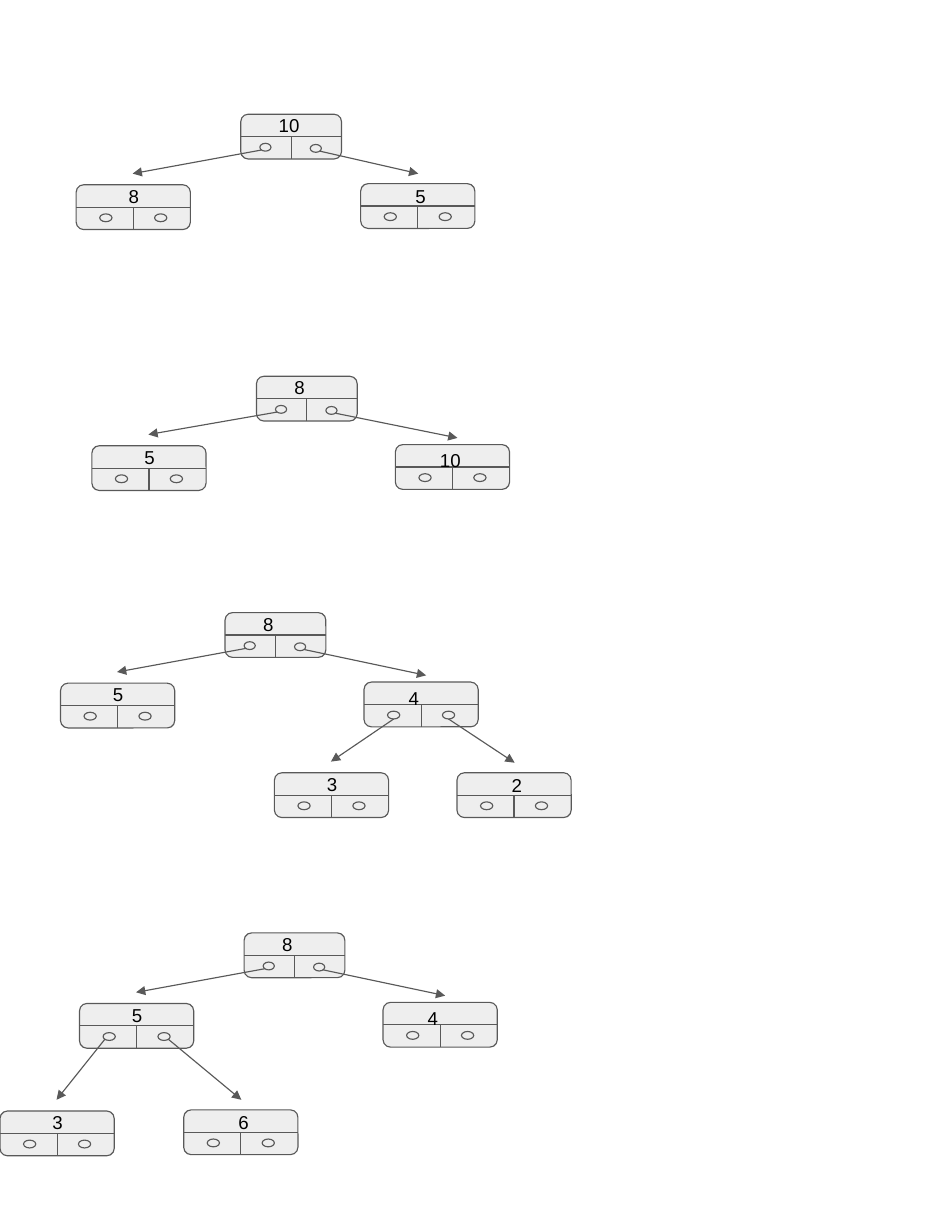
from dataclasses import dataclass
from typing import Optional

from lxml import etree
from pptx import Presentation
from pptx.dml.color import RGBColor
from pptx.enum.shapes import MSO_CONNECTOR, MSO_SHAPE
from pptx.oxml.ns import qn
from pptx.shapes.autoshape import Shape
from pptx.shapes.connector import Connector
from pptx.shapes.shapetree import GroupShapes
from pptx.slide import Slide
from pptx.util import Pt

STRAIGHT = MSO_CONNECTOR.STRAIGHT
ROUNDED, OVAL = MSO_SHAPE.ROUNDED_RECTANGLE, MSO_SHAPE.OVAL
TOP, LEFT, BOTTOM, RIGHT = range(4)

EMU_PER_PX = 9144  # 100 px to the inch
SLIDE_WIDTH, SLIDE_HEIGHT = 850, 1100
BOX_HEIGHT, DIVIDER_Y, PORT_HEIGHT, INSET = 40, 20, 7, 10
DIAGONAL = 0.35  # offset of an ellipse's corner point, as a share of its size


@dataclass(frozen=True)
class Theme:
    fill: RGBColor = RGBColor(0xEE, 0xEE, 0xEE)
    line: RGBColor = RGBColor(0x59, 0x59, 0x59)
    text: RGBColor = RGBColor(0, 0, 0)
    font: str = "Arial"
    text_size: Pt = Pt(12)
    line_width: Pt = Pt(0.75)


@dataclass(frozen=True)
class NodeStyle:
    """Sizes and offsets from the top left corner of a node's box."""
    width: int
    label_x: int
    label_y: int
    label_width: int
    port_width: int = 11
    ports: tuple[tuple[int, int], tuple[int, int]] = ((21, 26), (70, 26))


@dataclass(frozen=True)
class Node:
    value: str
    x: int
    y: int
    style: NodeStyle
    left: Optional["Node"] = None
    right: Optional["Node"] = None
    slanted_exits: bool = True


@dataclass(frozen=True)
class DrawnNode:
    label: Shape
    ports: list[Shape]


THEME = Theme()
ROOT = NodeStyle(90, 24, -10, 42, 10, ((17, 26), (62, 27)))
LEFT_CHILD = NodeStyle(102, 37, -10, 27)
RIGHT_CHILD = NodeStyle(102, 39, -9, 25)
WIDE_CHILD = NodeStyle(102, 30, -6, 51)

TREES = [
    Node("10", 215, 102, ROOT,
         Node("8", 68, 165, LEFT_CHILD),
         Node("5", 322, 164, RIGHT_CHILD)),
    Node("8", 229, 336, ROOT,
         Node("5", 82, 398, LEFT_CHILD),
         Node("10", 353, 397, WIDE_CHILD)),
    Node("8", 201, 547, ROOT,
         Node("5", 54, 610, LEFT_CHILD),
         Node("4", 325, 609, WIDE_CHILD,
              Node("3", 245, 690, LEFT_CHILD),
              Node("2", 408, 690, RIGHT_CHILD),
              slanted_exits=False)),
    Node("8", 218, 833, ROOT,
         Node("5", 71, 896, LEFT_CHILD,
              Node("3", 0, 992, LEFT_CHILD),
              Node("6", 164, 991, RIGHT_CHILD)),
         Node("4", 342, 895, WIDE_CHILD)),
]


def px(*lengths: int) -> list[int]:
    return [length * EMU_PER_PX for length in lengths]


def set_attributes(target: object, values: dict) -> None:
    for name, value in values.items():
        setattr(target, name, value)


def add_outlined(shapes: GroupShapes, kind: MSO_SHAPE, *bounds: int) -> Shape:
    shape = shapes.add_shape(kind, *px(*bounds))
    shape.shadow.inherit = False
    shape.fill.solid()
    shape.fill.fore_color.rgb = THEME.fill
    shape.line.color.rgb = THEME.line
    shape.line.width = THEME.line_width
    return shape


def style_connector(connector: Connector, arrow: bool = False) -> None:
    connector.line.color.rgb = THEME.line
    connector.line.width = THEME.line_width
    properties = connector._element.spPr
    if arrow:
        etree.SubElement(properties.find(qn("a:ln")), qn("a:tailEnd"), type="triangle")
    etree.SubElement(properties, qn("a:effectLst"))


def add_label(shapes: GroupShapes, node: Node) -> Shape:
    style = node.style
    label = shapes.add_textbox(*px(node.x + style.label_x, node.y + style.label_y,
                                   style.label_width, BOX_HEIGHT))
    margin = px(INSET)[0]
    set_attributes(label.text_frame, {
        "word_wrap": True, "margin_left": margin, "margin_right": margin,
        "margin_top": margin, "margin_bottom": margin, "text": node.value})
    font = label.text_frame.paragraphs[0].runs[0].font
    set_attributes(font, {"name": THEME.font, "size": THEME.text_size})
    font.color.rgb = THEME.text
    return label


def add_node(slide: Slide, node: Node) -> DrawnNode:
    shapes = slide.shapes.add_group_shape().shapes
    style = node.style
    box = add_outlined(shapes, ROUNDED, node.x, node.y, style.width, BOX_HEIGHT)
    middle_x, middle_y = node.x + style.width // 2, node.y + DIVIDER_Y

    divider = shapes.add_connector(
        STRAIGHT, *px(node.x, middle_y, node.x + style.width, middle_y))
    divider.begin_connect(box, LEFT)
    divider.end_connect(box, RIGHT)
    style_connector(divider)
    label = add_label(shapes, node)
    separator = shapes.add_connector(
        STRAIGHT, *px(middle_x, node.y + BOX_HEIGHT, middle_x, middle_y))
    separator.begin_connect(box, BOTTOM)
    style_connector(separator)

    ports = [add_outlined(shapes, OVAL, node.x + x, node.y + y,
                          style.port_width, PORT_HEIGHT)
             for x, y in style.ports]
    return DrawnNode(label, ports)


def add_link(slide: Slide, port: Shape, label: Shape, direction: int) -> None:
    """Direction is -1 or 1 for a lower corner of the port, 0 for its bottom."""
    drop = 0.5 + DIAGONAL if direction else 1
    start_x = port.left + round(port.width * (0.5 + direction * DIAGONAL))
    start_y = port.top + round(port.height * drop)
    link = slide.shapes.add_connector(
        STRAIGHT, start_x, start_y, label.left + label.width // 2, label.top)
    link.end_connect(label, TOP)
    style_connector(link, arrow=True)


def add_tree(slide: Slide, node: Node) -> DrawnNode:
    drawn = add_node(slide, node)
    for child, port, side in zip((node.left, node.right), drawn.ports, (-1, 1)):
        if child:
            drawn_child = add_tree(slide, child)
            add_link(slide, port, drawn_child.label, side if node.slanted_exits else 0)
    return drawn


def main() -> None:
    presentation = Presentation()
    presentation.slide_width, presentation.slide_height = px(SLIDE_WIDTH, SLIDE_HEIGHT)
    slide = presentation.slides.add_slide(presentation.slide_layouts[6])
    for tree in TREES:
        add_tree(slide, tree)
    presentation.save("out.pptx")


if __name__ == "__main__":
    main()
